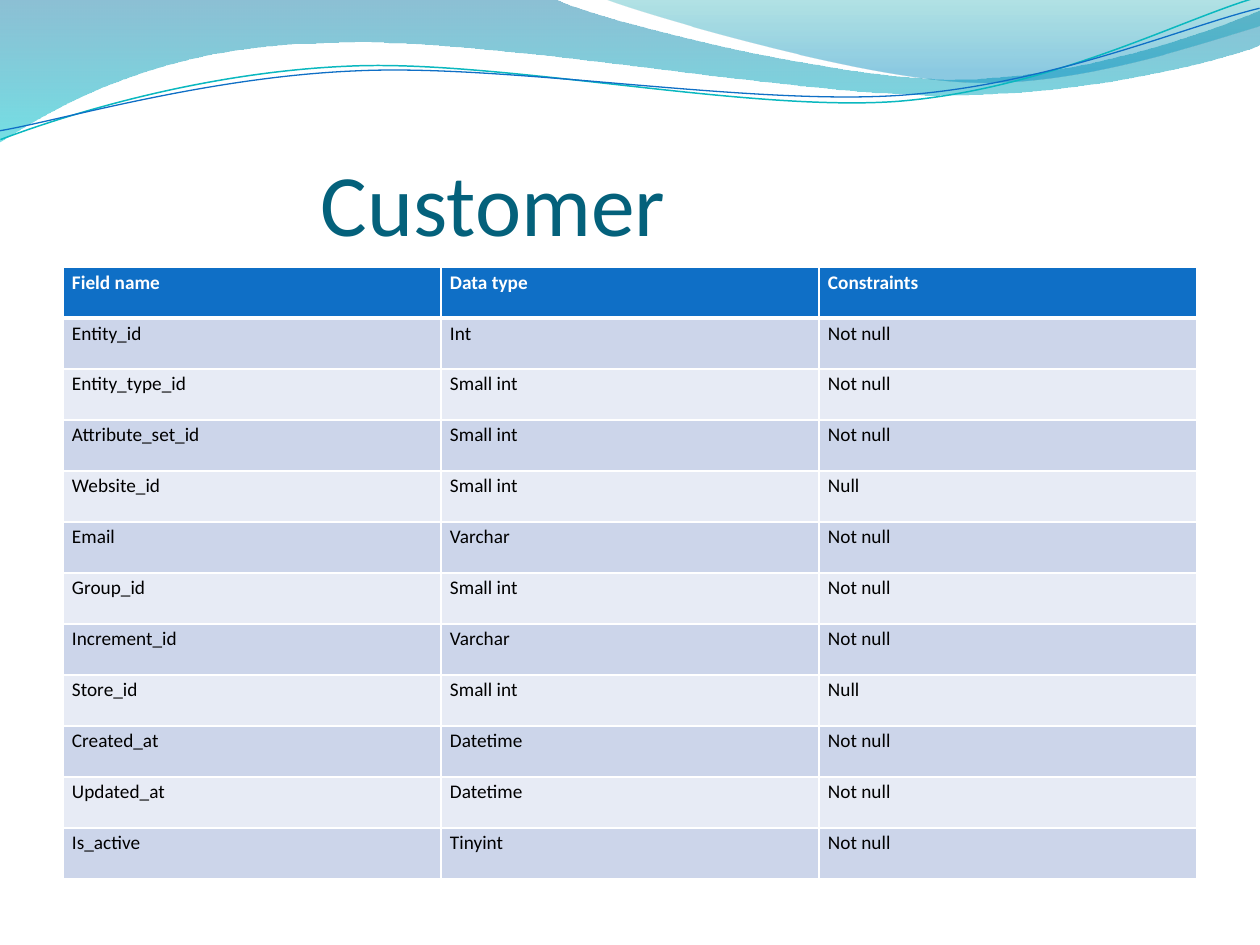
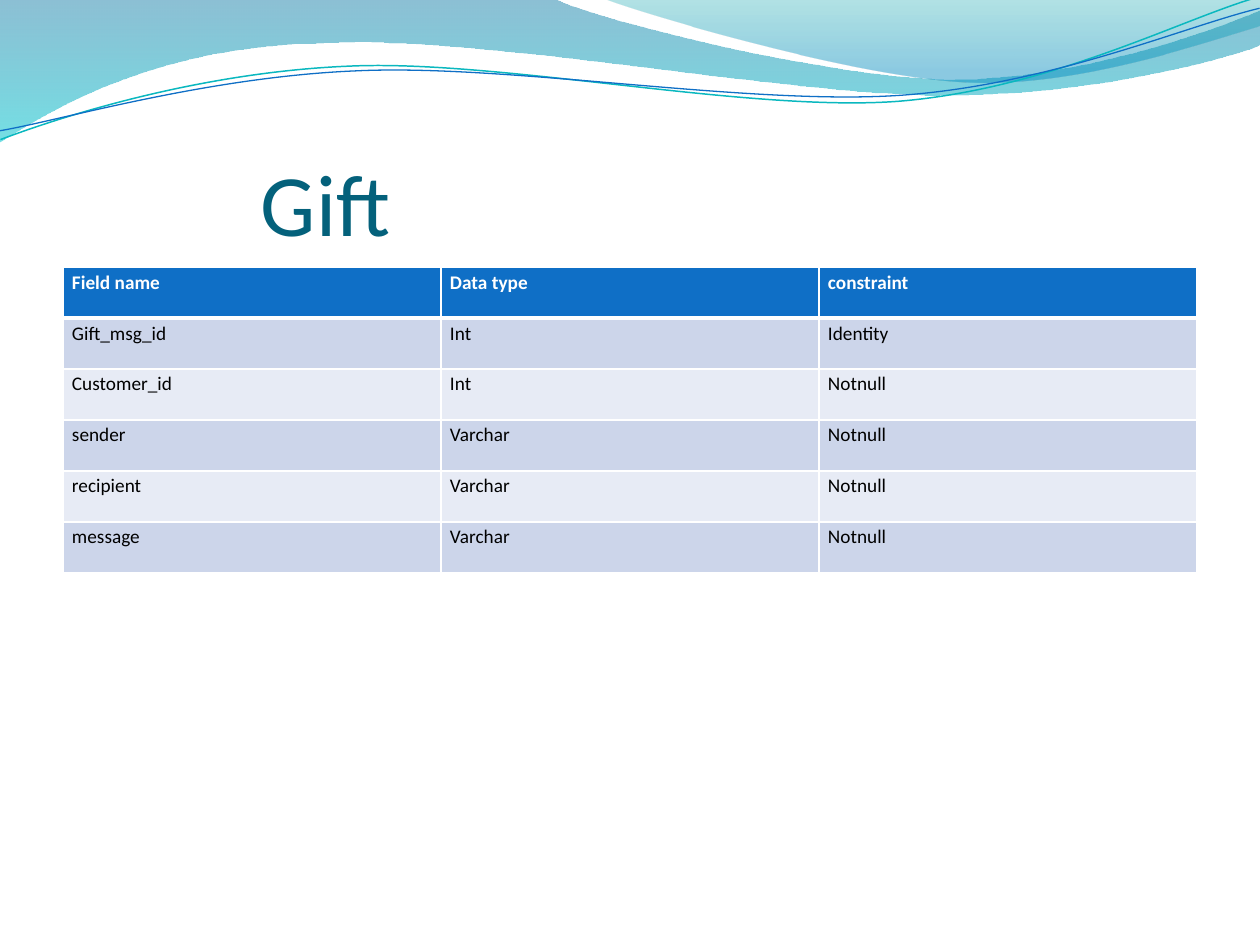
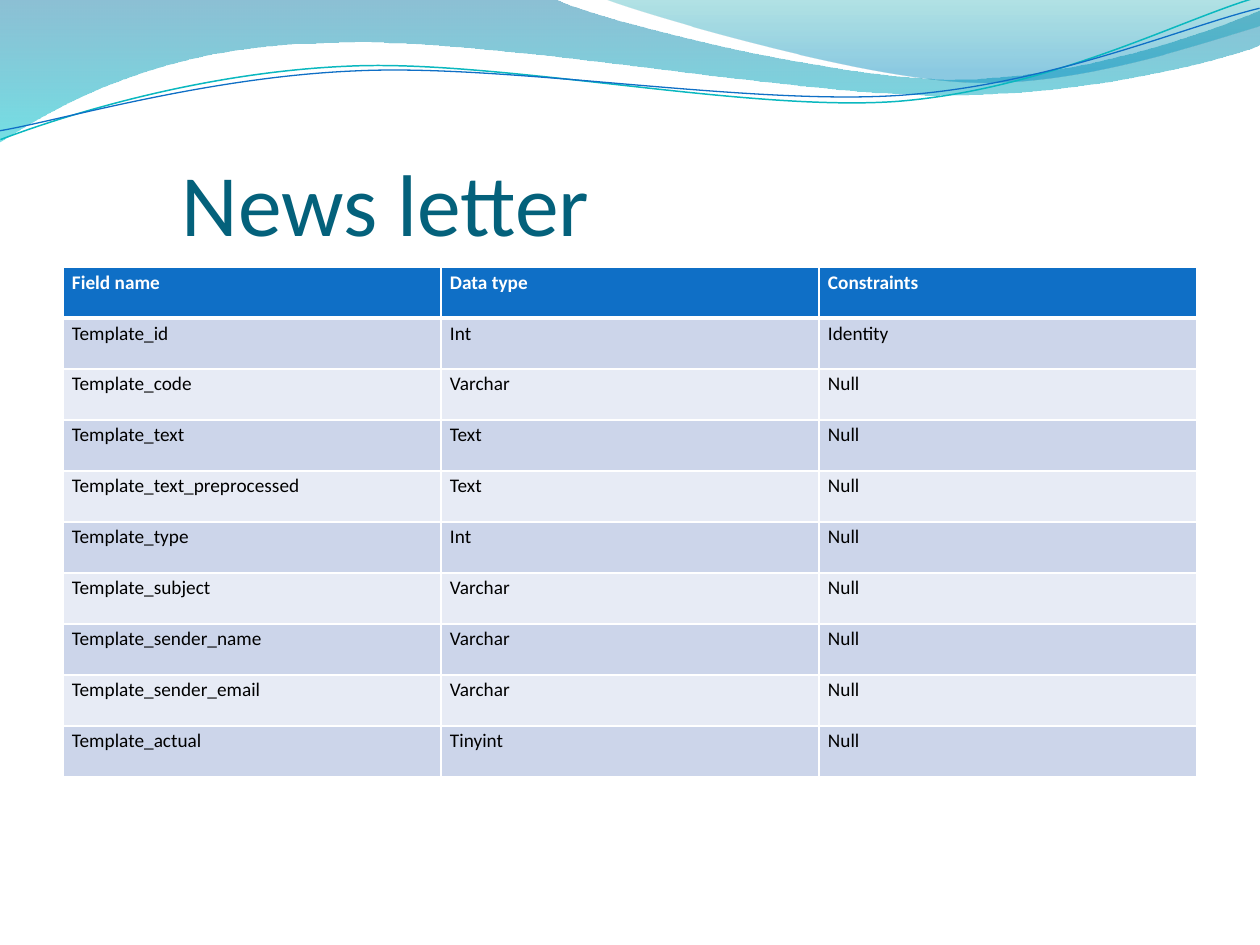
from lxml.etree import SubElement
from pptx import Presentation
from pptx.dml.color import RGBColor
from pptx.enum.text import MSO_ANCHOR
from pptx.oxml.ns import qn
from pptx.util import Emu, Pt

FONT = "Calibri"
WHITE = RGBColor(0xFF, 0xFF, 0xFF)
BLACK = RGBColor(0x00, 0x00, 0x00)
TITLE_TEAL = RGBColor(0x04, 0x61, 0x7B)
BLUE = RGBColor(0x0F, 0x6F, 0xC6)
TURQUOISE = RGBColor(0x0A, 0xB8, 0xBF)
DEEP_BLUE = RGBColor(0x00, 0x74, 0xA1)
CYAN = RGBColor(0x00, 0xC6, 0xCF)
TEAL = RGBColor(0x00, 0xA1, 0xA9)
SEA_BLUE = RGBColor(0x00, 0x8B, 0xBF)
ROW_FILLS = (RGBColor(0xCC, 0xD5, 0xEA), RGBColor(0xE7, 0xEB, 0xF5))

# title, title indent in px, table rows (the first is the header)
TABLES = [
    ("Customer", 258, [
        ("Field name", "Data type", "Constraints"),
        ("Entity_id", "Int", "Not null"),
        ("Entity_type_id", "Small int", "Not null"),
        ("Attribute_set_id", "Small int", "Not null"),
        ("Website_id", "Small int", "Null"),
        ("Email", "Varchar", "Not null"),
        ("Group_id", "Small int", "Not null"),
        ("Increment_id", "Varchar", "Not null"),
        ("Store_id", "Small int", "Null"),
        ("Created_at", "Datetime", "Not null"),
        ("Updated_at", "Datetime", "Not null"),
        ("Is_active", "Tinyint", "Not null"),
    ]),
    ("Gift", 198, [
        ("Field name", "Data type", "constraint"),
        ("Gift_msg_id", "Int", "Identity"),
        ("Customer_id", "Int", "Notnull"),
        ("sender", "Varchar", "Notnull"),
        ("recipient", "Varchar", "Notnull"),
        ("message", "Varchar", "Notnull"),
    ]),
    ("News letter", 119, [
        ("Field name", "Data type", "Constraints"),
        ("Template_id", "Int", "Identity"),
        ("Template_code", "Varchar", "Null"),
        ("Template_text", "Text", "Null"),
        ("Template_text_preprocessed", "Text", "Null"),
        ("Template_type", "Int", "Null"),
        ("Template_subject", "Varchar", "Null"),
        ("Template_sender_name", "Varchar", "Null"),
        ("Template_sender_email", "Varchar", "Null"),
        ("Template_actual", "Tinyint", "Null"),
    ]),
]

# Outlines in px: a start point, then steps of one point (straight line)
# or three points (Bézier curve).
# Bands: outline, gradient stops as (position, colour, opacity in percent)
BANDS = [
    ([(0, 0), [(554, -1)],
      [(600, 21), (837, 79), (955, 79)], [(1075, 79), (1207, 33), (1260, 11)],
      [(1261, 45)],
      [(1239, 55), (1096, 96), (940, 95)], [(784, 95), (481, 35), (324, 43)],
      [(163, 45), (58, 105), (-1, 142)], [(0, 0)]],
     [(0, DEEP_BLUE, 45), (1, CYAN, 55)]),
    ([(604, -1),
      [(641, 14), (859, 78), (969, 82)], [(1079, 87), (1211, 40), (1260, 26)],
      [(1260, 0)], [(604, -1)]],
     [(0, TEAL, 30), (0.8, SEA_BLUE, 45)]),
]
# Wave lines before they are tilted: outline, colour, width in points
WAVE_LINES = [
    ([(-2, 110), [(59, 90), (200, 52), (350, 53)],
      [(499, 53), (745, 118), (896, 114)], [(1049, 109), (1184, 45), (1260, 27)]],
     TURQUOISE, 0.85),
    ([(-2, 101), [(57, 94), (207, 57), (357, 58)],
      [(509, 58), (750, 112), (902, 108)], [(1052, 104), (1188, 52), (1262, 38)]],
     BLUE, 0.75),
]
WAVE_TILT = -2.7

SLIDE_WIDTH, SLIDE_HEIGHT = 1260, 945
MARGIN = 63
CONTENT_WIDTH = SLIDE_WIDTH - 2 * MARGIN
TITLE_TOP, TITLE_HEIGHT = 96, 158
TABLE_TOP, ROW_HEIGHT, CELL_INSET = 267, 51, 9


def px(length):
    return Emu(round(length * 914400 / 126))


def add_outline(slide, outline, close):
    """Draw an outline, joining the points of each three-point step as a curve."""
    start, *steps = outline
    builder = slide.shapes.build_freeform(px(start[0]), px(start[1]))
    builder.add_line_segments([(px(x), px(y)) for step in steps for x, y in step],
                              close=close)
    shape = builder.convert_to_shape()
    shape.shadow.inherit = False
    segments = iter(list(shape._element.iter(qn("a:lnTo"))))
    for step in steps:
        lines = [next(segments) for _ in step]
        if len(step) == 3:
            lines[0].tag = qn("a:cubicBezTo")
            for line in lines[1:]:
                lines[0].append(line[0])
                line.getparent().remove(line)
    return shape


def add_band(slide, outline, stops):
    band = add_outline(slide, outline, close=True)
    band.line.fill.background()
    band.fill.gradient()
    band.fill.gradient_angle = 270
    for stop, (position, color, _) in zip(band.fill.gradient_stops, stops):
        stop.position = position
        stop.color.rgb = color
    for color_element, (_, _, opacity) in zip(band._element.iter(qn("a:srgbClr")), stops):
        SubElement(color_element, qn("a:alpha"), val=str(opacity * 1000))
    return band


def add_wave_line(slide, outline, color, width):
    wave = add_outline(slide, outline, close=False)
    wave.fill.background()
    wave.line.color.rgb = color
    wave.line.width = Pt(width)
    wave.rotation = WAVE_TILT
    return wave


def move_to_master(shapes, master):
    """Move shapes to the slide master, so that every slide shows them."""
    first_id = max(shape.shape_id for shape in master.shapes) + 1
    for shape_id, shape in enumerate(shapes, first_id):
        shape._element.nvSpPr.cNvPr.set("id", str(shape_id))
        master.shapes._spTree.append(shape._element)


def style_text(paragraph, size, color, bold=False):
    paragraph.font.name = FONT
    paragraph.font.size = Pt(size)
    paragraph.font.bold = bold
    paragraph.font.color.rgb = color


def add_title(slide, title, indent):
    box = slide.shapes.add_textbox(px(MARGIN), px(TITLE_TOP),
                                   px(CONTENT_WIDTH), px(TITLE_HEIGHT))
    frame = box.text_frame
    frame.word_wrap = True
    frame.vertical_anchor = MSO_ANCHOR.BOTTOM
    frame.margin_left = px(indent)
    frame.margin_top = px(6)
    frame.margin_right = frame.margin_bottom = 0
    frame.text = title
    style_text(frame.paragraphs[0], 50, TITLE_TEAL)


def set_borders(cell, top, bottom):
    """Give a cell white borders; widths in points, sides always 1."""
    properties = cell._tc.get_or_add_tcPr()
    for side, width in (("L", 1), ("R", 1), ("T", top), ("B", bottom)):
        line = SubElement(properties, qn(f"a:ln{side}"), w=str(Pt(width)))
        fill = SubElement(line, qn("a:solidFill"))
        SubElement(fill, qn("a:srgbClr"), val=str(WHITE))


def add_field_table(slide, rows):
    table = slide.shapes.add_table(len(rows), len(rows[0]), px(MARGIN), px(TABLE_TOP),
                                   px(CONTENT_WIDTH), px(ROW_HEIGHT * len(rows))).table
    for r, values in enumerate(rows):
        header = r == 0
        for c, value in enumerate(values):
            cell = table.cell(r, c)
            set_borders(cell, top=3 if r == 1 else 1, bottom=3 if header else 1)
            cell.fill.solid()
            cell.fill.fore_color.rgb = BLUE if header else ROW_FILLS[(r - 1) % 2]
            cell.margin_left = cell.margin_right = px(CELL_INSET)
            cell.margin_top = cell.margin_bottom = 0
            cell.text = value
            paragraph = cell.text_frame.paragraphs[0]
            paragraph.line_spacing = 1.15
            style_text(paragraph, 11, WHITE if header else BLACK, bold=header)


def main():
    presentation = Presentation()
    presentation.slide_width = px(SLIDE_WIDTH)
    presentation.slide_height = px(SLIDE_HEIGHT)
    blank = presentation.slide_layouts[6]
    slides = [presentation.slides.add_slide(blank) for _ in TABLES]
    waves = [add_band(slides[0], *band) for band in BANDS]
    waves += [add_wave_line(slides[0], *line) for line in WAVE_LINES]
    move_to_master(waves, presentation.slide_master)
    for slide, (title, indent, rows) in zip(slides, TABLES):
        add_title(slide, title, indent)
        add_field_table(slide, rows)
    presentation.save("out.pptx")


if __name__ == "__main__":
    main()
